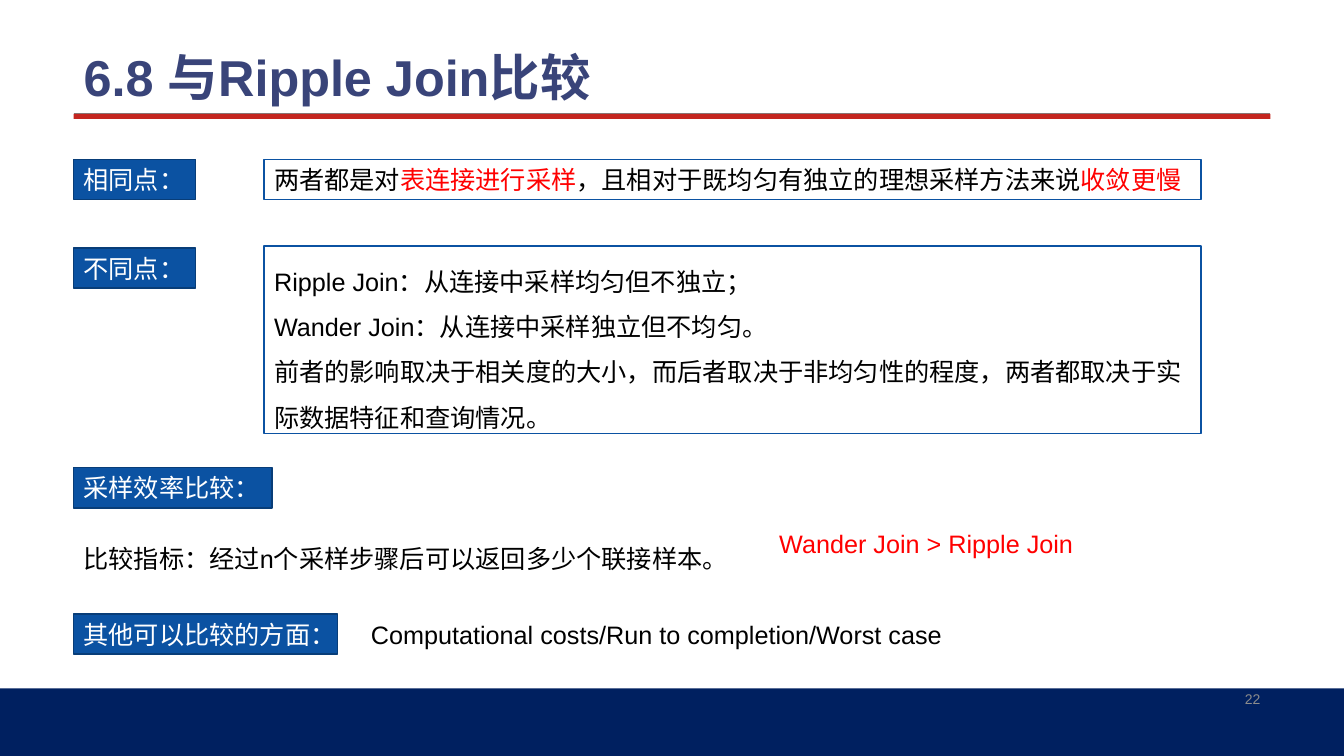
from dataclasses import dataclass

from lxml import etree
from pptx import Presentation, util as u
from pptx.dml.color import RGBColor
from pptx.enum import shapes, text
from pptx.oxml import ns

NAVY, RED_BAR, BLUE, BLUE_EDGE = "002060", "C4251F", "0B52A2", "083D78"
WHITE, BLACK, RED, GREY = "FFFFFF", "000000", "FF0000", "8C8C8C"
LEFT, RIGHT, WIDTH = 0.73, 12.6, 11.87
ROW_H = 0.4

Run = tuple[str, str]  # wording, colour


@dataclass
class Block:
    left: float
    top: float
    width: float
    height: float
    paragraphs: list[list[Run]]
    fill: str = ""
    line: str = ""
    spacing: float = 1.0
    wrap: bool = True
    size: int = 18
    align: text.PP_ALIGN = text.PP_ALIGN.LEFT
    anchor: text.MSO_ANCHOR = text.MSO_ANCHOR.TOP


def rgb(colour: str) -> RGBColor:
    return RGBColor.from_string(colour)


def place(left: float, top: float, width: float, height: float) -> list[u.Length]:
    return [u.Inches(v) for v in (left, top, width, height)]


def add_rect(s, left: float, top: float, width: float, height: float,
             fill: str, line: str = ""):
    sp = s.shapes.add_shape(shapes.MSO_SHAPE.RECTANGLE,
                            *place(left, top, width, height))
    sp.shadow.inherit = False
    sp.fill.solid()
    sp.fill.fore_color.rgb = rgb(fill)
    if line:
        sp.line.color.rgb = rgb(line)
        sp.line.width = u.Pt(1)
    else:
        sp.line.fill.background()
    return sp


def add_block(s, b: Block) -> None:
    box = (b.left, b.top, b.width, b.height)
    if b.fill:
        sp = add_rect(s, *box, b.fill, b.line)
    else:
        sp = s.shapes.add_textbox(*place(*box))
    tf = sp.text_frame
    tf.word_wrap = b.wrap
    tf.vertical_anchor = b.anchor
    for i, runs in enumerate(b.paragraphs):
        p = tf.add_paragraph() if i else tf.paragraphs[0]
        p.alignment = b.align
        p.line_spacing = b.spacing
        p.font.size = u.Pt(b.size)
        p.font.name = "Arial"
        for wording, colour in runs:
            r = p.add_run()
            r.text = wording
            r.font.color.rgb = rgb(colour)


def label(top: float, width: float, wording: str) -> Block:
    return Block(LEFT, top, width, ROW_H, [[(wording, WHITE)]],
                 BLUE, BLUE_EDGE, wrap=False)


def add_title(s, wording: str) -> None:
    sp = s.shapes.title
    sp.left, sp.top, sp.width, sp.height = place(LEFT, 0, WIDTH, 1.12)
    tf = sp.text_frame
    tf.text = wording
    tf.auto_size = text.MSO_AUTO_SIZE.NONE
    tf.vertical_anchor = text.MSO_ANCHOR.BOTTOM
    p = tf.paragraphs[0]
    p.alignment = text.PP_ALIGN.LEFT
    p.line_spacing = 0.9
    p.font.size = u.Pt(36)
    p.font.name = "Arial"
    p.font.bold = True
    p.font.color.rgb = rgb("394479")


def add_frame(s) -> None:
    rule = s.shapes.add_connector(
        shapes.MSO_CONNECTOR.STRAIGHT,
        u.Inches(LEFT), u.Inches(1.12), u.Inches(RIGHT), u.Inches(1.12))
    rule.line.color.rgb = rgb("808080")
    rule.line.width = u.Pt(0.25)
    etree.SubElement(rule._element.spPr, ns.qn("a:effectLst"))
    add_rect(s, 0, 6.83, 13.33, 0.67, NAVY)
    add_rect(s, LEFT, 1.13, WIDTH, 0.05, RED_BAR)


BLOCKS = [
    # Similarities
    label(1.58, 1.21, "相同点："),
    Block(2.62, 1.58, 9.29, ROW_H, [[
        ("两者都是对", BLACK), ("表连接进行采样", RED),
        ("，且相对于既均匀有独立的理想采样方法来说", BLACK), ("收敛更慢", RED),
    ]], WHITE, BLUE, wrap=False),
    # Differences
    label(2.46, 1.21, "不同点："),
    Block(2.62, 2.44, 9.29, 1.86, [
        [("Ripple Join：从连接中采样均匀但不独立；", BLACK)],
        [("Wander Join：从连接中采样独立但不均匀。", BLACK)],
        [("前者的影响取决于相关度的大小，而后者取决于非均匀性的程度，"
          "两者都取决于实际数据特征和查询情况。", BLACK)],
    ], WHITE, BLUE, spacing=1.5),
    # Sampling efficiency
    label(4.64, 1.97, "采样效率比较："),
    Block(LEFT, 5.19, WIDTH, 0.5,
          [[("比较指标：经过n个采样步骤后可以返回多少个联接样本。", BLACK)]],
          spacing=1.5),
    Block(7.63, 5.19, 3.14, ROW_H, [[("Wander Join > Ripple Join", RED)]],
          wrap=False),
    # Other aspects
    label(6.09, 2.62, "其他可以比较的方面："),
    Block(3.58, 6.09, 9.39, ROW_H,
          [[("Computational costs/Run to completion/Worst case", BLACK)]]),
    # Page number
    Block(9.42, 6.82, 3.18, 0.23, [[("22", GREY)]], size=10,
          align=text.PP_ALIGN.RIGHT, anchor=text.MSO_ANCHOR.MIDDLE),
]


def main() -> None:
    prs = Presentation()
    prs.slide_width, prs.slide_height = u.Inches(13.33), u.Inches(7.5)
    s = prs.slides.add_slide(prs.slide_layouts[5])
    add_frame(s)
    add_title(s, "6.8 与Ripple Join比较")
    for block in BLOCKS:
        add_block(s, block)
    prs.save("out.pptx")


if __name__ == "__main__":
    main()
